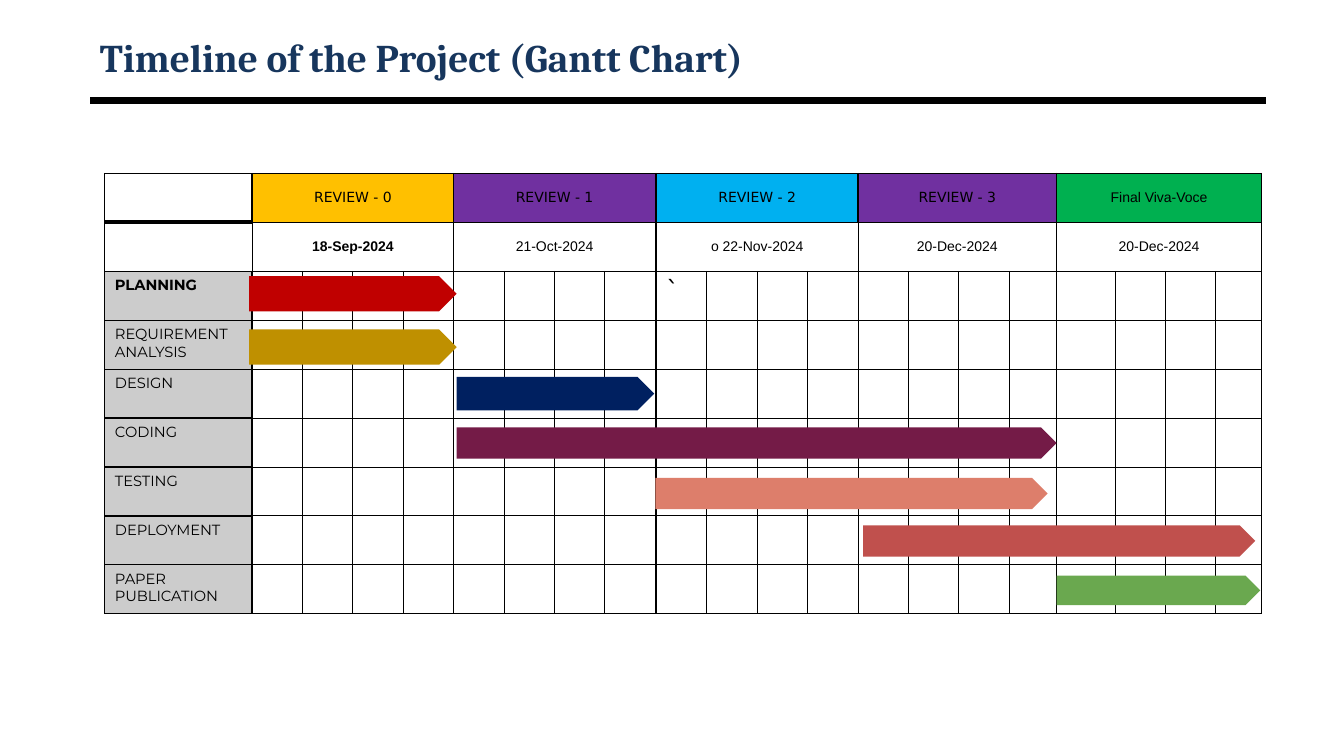
"""Build the project timeline slide: a Gantt grid of three tables with phase bars."""
from typing import NamedTuple

from lxml import etree
from pptx import Presentation
from pptx.dml.color import RGBColor
from pptx.enum.shapes import MSO_CONNECTOR, MSO_SHAPE
from pptx.enum.text import MSO_ANCHOR, PP_ALIGN
from pptx.oxml.ns import qn
from pptx.util import Inches, Pt

STRAIGHT = MSO_CONNECTOR.STRAIGHT
PENTAGON = MSO_SHAPE.PENTAGON
TOP, MIDDLE = MSO_ANCHOR.TOP, MSO_ANCHOR.MIDDLE
LEFT, CENTER = PP_ALIGN.LEFT, PP_ALIGN.CENTER

BLACK = RGBColor(0x00, 0x00, 0x00)
WHITE = RGBColor(0xFF, 0xFF, 0xFF)
NAVY = RGBColor(0x17, 0x36, 0x5D)
GREY = RGBColor(0xCC, 0xCC, 0xCC)
AMBER = RGBColor(0xFF, 0xC0, 0x00)
PURPLE = RGBColor(0x70, 0x30, 0xA0)
SKY = RGBColor(0x00, 0xB0, 0xF0)
GREEN = RGBColor(0x00, 0xB0, 0x50)
RED = RGBColor(0xC0, 0x00, 0x00)
OCHRE = RGBColor(0xBF, 0x90, 0x00)
MIDNIGHT = RGBColor(0x00, 0x20, 0x60)
PLUM = RGBColor(0x74, 0x1B, 0x47)
SALMON = RGBColor(0xDD, 0x7E, 0x6B)
BRICK = RGBColor(0xC0, 0x50, 0x4D)
LEAF = RGBColor(0x6A, 0xA8, 0x4F)

SLIDE_W, SLIDE_H = Inches(13.33), Inches(7.5)
GRID_X, GRID_Y = Inches(2.5), Inches(1.72)
COLUMN, ROW = Inches(0.5), Inches(4.37) / 9
SPAN = 4
HEADER_ROWS = 2
THIN, MEDIUM, THICK = 0.75, 1, 3


class Review(NamedTuple):
    name: str
    date: str
    color: RGBColor
    font: str = "DejaVu Sans"
    bold_date: bool = False


class Block(NamedTuple):
    start: float
    widths: list[float]
    reviews: list[Review]
    label_columns: int = 0
    left_border: float = MEDIUM


class Bar(NamedTuple):
    column: float
    row: float
    length: float
    height: float
    color: RGBColor


TASKS = ["PLANNING", "REQUIREMENT ANALYSIS", "DESIGN", "CODING", "TESTING",
         "DEPLOYMENT", "PAPER PUBLICATION"]
BLOCKS = [
    Block(-2.92, [2.92] + [1] * 8,
          [Review("REVIEW - 0", "18-Sep-2024", AMBER, bold_date=True),
           Review("REVIEW - 1", "21-Oct-2024", PURPLE)], label_columns=1),
    Block(8.02, [1] * 7 + [0.94],
          [Review("REVIEW - 2", "o 22-Nov-2024", SKY),
           Review("REVIEW - 3", "20-Dec-2024", PURPLE)]),
    Block(15.96, [1.16, 1, 1, 0.9],
          [Review("Final Viva-Voce", "20-Dec-2024", GREEN, "Arial")],
          left_border=THIN),
]
BARS = [
    Bar(-0.06, 2.1, 4.12, 0.72, RED),
    Bar(-0.06, 3.19, 4.12, 0.72, OCHRE),
    Bar(4.06, 4.16, 3.92, 0.68, MIDNIGHT),
    Bar(4.06, 5.19, 11.9, 0.64, PLUM),
    Bar(8, 6.22, 7.78, 0.64, SALMON),
    Bar(15.96, 8.22, 4.04, 0.6, LEAF),
    Bar(12.12, 7.19, 7.78, 0.64, BRICK),
]


def grid_x(column: float) -> int:
    return round(GRID_X + column * COLUMN)


def grid_y(row: float) -> int:
    return round(GRID_Y + row * ROW)


def write(holder, text: str, *, size: float = 10, font: str = "Arial",
          color: RGBColor = BLACK, bold: bool = False, align=CENTER,
          anchor=MIDDLE) -> None:
    holder.vertical_anchor = anchor
    frame = getattr(holder, "text_frame", holder)
    paragraph = frame.paragraphs[0]
    paragraph.alignment = align
    run = paragraph.add_run()
    run.text = text
    run.font.size, run.font.name = Pt(size), font
    run.font.bold, run.font.color.rgb = bold, color


def style_cell(cell, fill: RGBColor, left: float = THIN, right: float = THIN,
               top: float = THIN, bottom: float = THIN) -> None:
    cell.fill.solid()
    cell.fill.fore_color.rgb = fill
    properties = cell._tc.get_or_add_tcPr()
    for place, (side, width) in enumerate(zip("LRTB", (left, right, top, bottom))):
        border = etree.Element(qn(f"a:ln{side}"), w=str(Pt(width)))
        solid = etree.SubElement(border, qn("a:solidFill"))
        etree.SubElement(solid, qn("a:srgbClr"), val=str(BLACK))
        properties.insert(place, border)


def fill_labels(table) -> None:
    style_cell(table.cell(0, 0), WHITE, MEDIUM, MEDIUM, MEDIUM, THICK)
    style_cell(table.cell(1, 0), WHITE, MEDIUM, THIN, THICK, MEDIUM)
    for row, task in enumerate(TASKS, HEADER_ROWS):
        label = table.cell(row, 0)
        style_cell(label, GREY, MEDIUM, MEDIUM, MEDIUM, MEDIUM)
        write(label, task, size=10.5, font="Montserrat",
              bold=row == HEADER_ROWS, align=LEFT, anchor=TOP)


def fill_review(table, review: Review, first: int) -> None:
    last = first + SPAN - 1
    for column in range(first, last + 1):
        style_cell(table.cell(0, column), review.color, MEDIUM, MEDIUM, MEDIUM)
        style_cell(table.cell(1, column), WHITE)
    for row in range(HEADER_ROWS):
        table.cell(row, first).merge(table.cell(row, last))
    write(table.cell(0, first), review.name, font=review.font)
    write(table.cell(1, first), review.date, bold=review.bold_date)


def add_block(slide, block: Block):
    rows = HEADER_ROWS + len(TASKS)
    table = slide.shapes.add_table(
        rows, len(block.widths), grid_x(block.start), grid_y(0),
        round(sum(block.widths) * COLUMN), round(rows * ROW)).table
    table.first_row = table.horz_banding = False
    for column, width in zip(table.columns, block.widths):
        column.width = round(width * COLUMN)
    if block.label_columns:
        fill_labels(table)
    for index, review in enumerate(block.reviews):
        fill_review(table, review, block.label_columns + index * SPAN)
    for row in range(HEADER_ROWS, rows):
        for column in range(block.label_columns, len(block.widths)):
            first = column == block.label_columns
            style_cell(table.cell(row, column), WHITE,
                       left=block.left_border if first else THIN)
    return table


def add_bar(slide, bar: Bar) -> None:
    arrow = slide.shapes.add_shape(
        PENTAGON, grid_x(bar.column), grid_y(bar.row),
        round(bar.length * COLUMN), round(bar.height * ROW))
    arrow.shadow.inherit = False
    arrow.fill.solid()
    arrow.fill.fore_color.rgb = bar.color
    arrow.line.fill.background()


def add_heading(slide) -> None:
    left, right, rule_y = (round(0.067 * SLIDE_W), round(0.942 * SLIDE_W),
                           round(0.133 * SLIDE_H))
    rule = slide.shapes.add_connector(STRAIGHT, left, rule_y, right, rule_y)
    rule.line.color.rgb, rule.line.width = BLACK, Pt(4.5)
    etree.SubElement(rule._element.spPr, qn("a:effectLst"))
    title = slide.shapes.add_textbox(left, round(0.04 * SLIDE_H), right - left,
                                     round(0.07 * SLIDE_H)).text_frame
    title.word_wrap = True
    write(title, "Timeline of the Project (Gantt Chart)", size=28,
          font="Cambria", color=NAVY, bold=True, align=LEFT)


def main() -> None:
    deck = Presentation()
    deck.slide_width, deck.slide_height = SLIDE_W, SLIDE_H
    slide = deck.slides.add_slide(deck.slide_layouts[6])
    add_heading(slide)
    tables = [add_block(slide, block) for block in BLOCKS]
    write(tables[1].cell(HEADER_ROWS, 0), "`", size=18, font="DejaVu Sans",
          align=LEFT, anchor=TOP)
    for bar in BARS:
        add_bar(slide, bar)
    deck.save("out.pptx")


if __name__ == "__main__":
    main()
